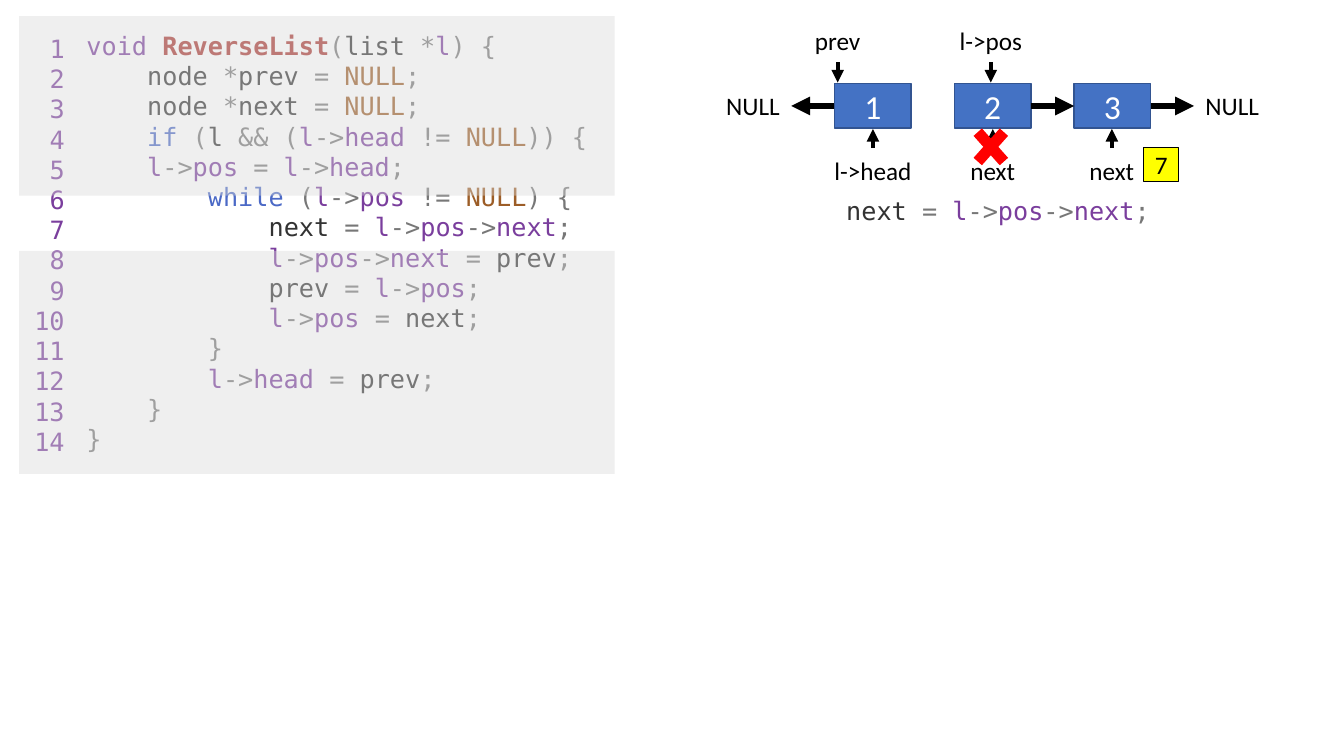
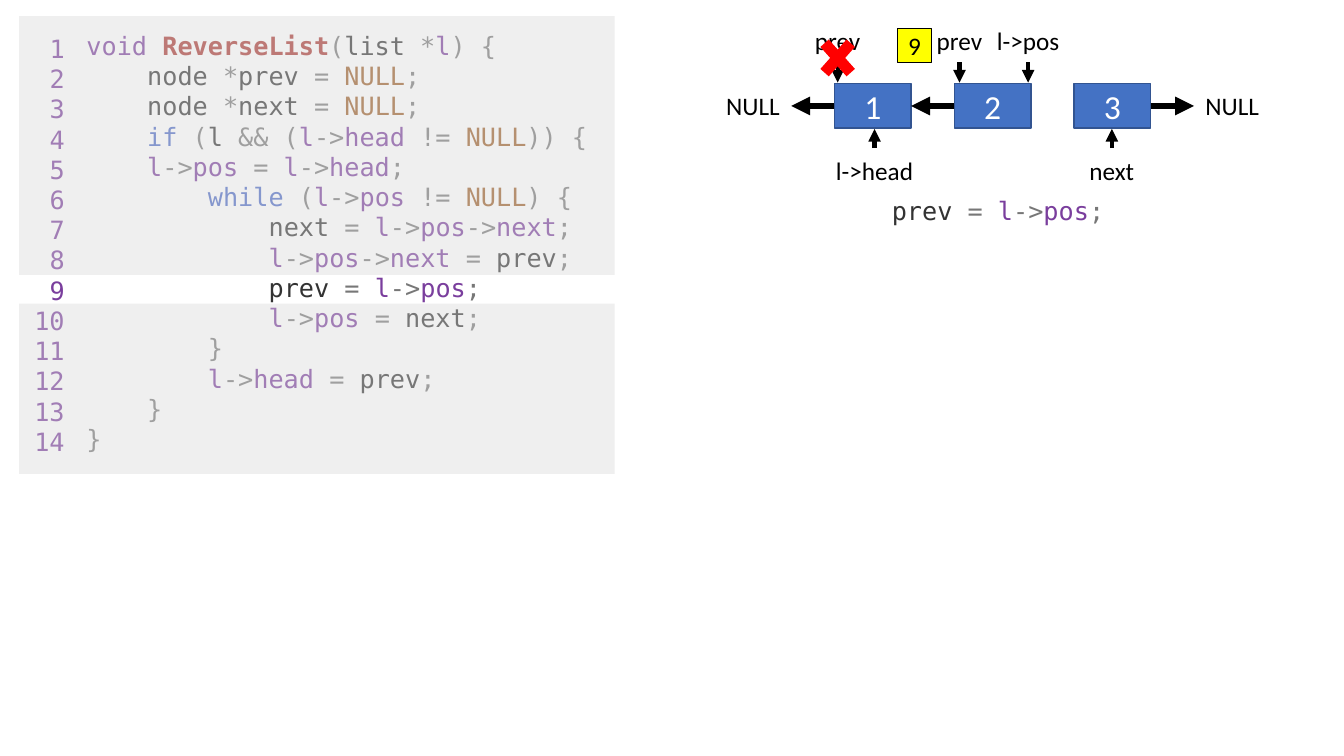
from dataclasses import dataclass

from lxml.etree import SubElement
from pptx import Presentation
from pptx.dml.color import RGBColor
from pptx.enum.shapes import MSO_CONNECTOR, MSO_SHAPE
from pptx.enum.text import MSO_ANCHOR, PP_ALIGN
from pptx.oxml.ns import qn
from pptx.util import Cm, Pt


@dataclass(frozen=True)
class Theme:
    body_font: str = "Calibri"
    code_font: str = "DejaVu Sans Mono"
    text_size: float = 18
    node_size: float = 24
    code_leading: float = 21.6
    black: str = "000000"
    white: str = "FFFFFF"
    node: str = "4472C4"
    node_line: str = "325491"
    badge: str = "FFFF00"
    cross: str = "FF0000"
    shade: str = "D9D9D9"
    shade_alpha: int = 41000
    symbol: str = "777777"
    name: str = "333333"
    member: str = "7A3E9D"
    function: str = "AA3731"
    keyword: str = "4B69C6"
    constant: str = "9C5D27"


theme = Theme()

TOKEN_COLORS = {
    "void ": theme.member,
    "l": theme.member,
    "ReverseList": theme.function,
    "if ": theme.keyword,
    "while ": theme.keyword,
    "NULL": theme.constant,
} | dict.fromkeys(["list ", "node ", "l ", "prev", "prev ", "next", "next "], theme.name)

CODE = [
    (0, "void |ReverseList|(|list |*|l|) {"),
    (1, "node |*|prev |= |NULL|;"),
    (1, "node |*|next |= |NULL|;"),
    (1, "if |(|l |&& (|l|->|head |!= |NULL|)) {"),
    (1, "l|->|pos |= |l|->|head|;"),
    (2, "while |(|l|->|pos |!= |NULL|) {"),
    (3, "next |= |l|->|pos|->|next|;"),
    (3, "l|->|pos|->|next |= |prev|;"),
    (3, "prev |= |l|->|pos|;"),
    (3, "l|->|pos |= |next|;"),
    (2, "}"),
    (2, "l|->|head |= |prev|;"),
    (1, "}"),
    (0, "}"),
]
CODE_INDENT = 1.53

SHADE_LEFT, SHADE_TOP, SHADE_WIDTH, SHADE_BOTTOM = 0.48, 0.41, 15.01, 11.94
CHAIN = ["NULL", "1", "2", "3", "NULL"]
CHAIN_LEFT, CHAIN_TOP, CHAIN_PITCH = 18.01, 2.11, 3.02
NODE_WIDTH, NODE_HEIGHT = 1.93, 1.12
POINTER_ROWS = {"above": (0.46, 1.57, 2.08), "below": (3.73, 3.73, 3.25)}
BADGE_SIZE = 0.87
CROSS_X, CROSS_Y = 0.33, 0.37

STEPS = [
    {
        "line": 7,
        "window": (4.93, 6.32),
        "links": [(1, 0), (2, 3), (3, 4)],
        "pointers": [
            ("l->head", 22, "below"),
            ("prev", 21.11, "above"),
            ("next", 25.02, "below"),
            ("l->pos", 24.97, "above"),
            ("next", 28.02, "below"),
        ],
        "badge": (28.83, 3.71),
        "cross": (24.97, 3.7),
    },
    {
        "line": 9,
        "window": (6.93, 7.65),
        "links": [(1, 0), (2, 1), (3, 4)],
        "pointers": [
            ("l->head", 22.04, "below"),
            ("prev", 21.11, "above"),
            ("prev", 24.18, "above"),
            ("l->pos", 25.91, "above"),
            ("next", 28.02, "below"),
        ],
        "badge": (22.61, 0.71),
        "cross": (21.11, 1.46),
    },
]


def add_box(slide, left, top, width, height, text="", fill=theme.white, line=None,
            line_width=1, size=theme.text_size, color=theme.black):
    box = slide.shapes.add_shape(
        MSO_SHAPE.RECTANGLE, Cm(left), Cm(top), Cm(width), Cm(height))
    box.shadow.inherit = False
    box.fill.solid()
    box.fill.fore_color.rgb = RGBColor.from_string(fill)
    if line:
        box.line.color.rgb = RGBColor.from_string(line)
        box.line.width = Pt(line_width)
    else:
        box.line.fill.background()
    if text:
        frame = box.text_frame
        frame.margin_left = frame.margin_right = frame.margin_top = frame.margin_bottom = 0
        frame.word_wrap = False
        frame.vertical_anchor = MSO_ANCHOR.MIDDLE
        paragraph = frame.paragraphs[0]
        paragraph.text = text
        paragraph.alignment = PP_ALIGN.CENTER
        paragraph.font.name = theme.body_font
        paragraph.font.size = Pt(size)
        paragraph.font.color.rgb = RGBColor.from_string(color)
    return box


def add_stroke(slide, start, end, width, color=theme.black, arrow=True):
    stroke = slide.shapes.add_connector(
        MSO_CONNECTOR.STRAIGHT, *(Cm(value) for value in (*start, *end)))
    stroke.line.width = Pt(width)
    stroke.line.color.rgb = RGBColor.from_string(color)
    properties = stroke._element.spPr
    if arrow:
        SubElement(properties.find(qn("a:ln")), qn("a:tailEnd"), type="triangle")
    SubElement(properties, qn("a:effectLst"))


presentation = Presentation()
presentation.slide_width = Cm(33.87)
presentation.slide_height = Cm(19.05)

for step in STEPS:
    slide = presentation.slides.add_slide(presentation.slide_layouts[6])

    listing = slide.shapes.add_textbox(Cm(1.93), Cm(0.64), Cm(16.94), Cm(11.02))
    numbers = slide.shapes.add_textbox(Cm(0.58), Cm(0.71), Cm(1.3), Cm(11.02))
    numbers.text_frame.margin_left = 0
    statement = slide.shapes.add_textbox(Cm(20.1), Cm(4.8), Cm(10.1), Cm(1.02))
    current_code = CODE[step["line"] - 1][1]
    line_numbers = [(0, str(number)) for number in range(1, len(CODE) + 1)]

    for block, lines, alignment, default_color in (
        (listing, CODE, PP_ALIGN.LEFT, theme.symbol),
        (numbers, line_numbers, PP_ALIGN.RIGHT, theme.member),
        (statement, [(0, current_code)], PP_ALIGN.CENTER, theme.symbol),
    ):
        frame = block.text_frame
        frame.word_wrap = True
        for index, (level, code) in enumerate(lines):
            paragraph = frame.add_paragraph() if index else frame.paragraphs[0]
            paragraph.alignment = alignment
            paragraph.line_spacing = Pt(theme.code_leading)
            paragraph.font.name = theme.code_font
            paragraph.font.size = Pt(theme.text_size)
            paragraph._p.get_or_add_pPr().set("marL", str(Cm(level * CODE_INDENT)))
            previous = ""
            for token in code.split("|"):
                run = paragraph.add_run()
                run.text = token
                color = TOKEN_COLORS.get(token, default_color)
                if previous == "->":
                    color = theme.member
                run.font.color.rgb = RGBColor.from_string(color)
                if token == "ReverseList":
                    run.font.bold = True
                previous = token

    window_top, window_bottom = step["window"]
    for top, bottom in ((SHADE_TOP, window_top), (window_bottom, SHADE_BOTTOM)):
        shade = add_box(slide, SHADE_LEFT, top, SHADE_WIDTH, bottom - top, fill=theme.shade)
        shade_color = shade._element.spPr.find(qn("a:solidFill")).find(qn("a:srgbClr"))
        SubElement(shade_color, qn("a:alpha"), val=str(theme.shade_alpha))

    for position, value in enumerate(CHAIN):
        node_style = {} if value == "NULL" else {
            "fill": theme.node, "line": theme.node_line,
            "size": theme.node_size, "color": theme.white}
        add_box(slide, CHAIN_LEFT + position * CHAIN_PITCH, CHAIN_TOP,
                NODE_WIDTH, NODE_HEIGHT, value, **node_style)

    link_y = CHAIN_TOP + NODE_HEIGHT / 2
    for source, target in step["links"]:
        source_x = CHAIN_LEFT + source * CHAIN_PITCH + NODE_WIDTH * (target > source)
        target_x = CHAIN_LEFT + target * CHAIN_PITCH + NODE_WIDTH * (target < source)
        add_stroke(slide, (source_x, link_y), (target_x, link_y), 4.5)

    for name, x, side in step["pointers"]:
        label_top, arrow_start, arrow_end = POINTER_ROWS[side]
        add_box(slide, x - NODE_WIDTH / 2, label_top, NODE_WIDTH, NODE_HEIGHT, name)
        add_stroke(slide, (x, arrow_start), (x, arrow_end), 3)

    add_box(slide, *step["badge"], BADGE_SIZE, BADGE_SIZE, str(step["line"]),
            fill=theme.badge, line=theme.black, line_width=0.75)

    cross_x, cross_y = step["cross"]
    for rise in (CROSS_Y, -CROSS_Y):
        add_stroke(slide, (cross_x - CROSS_X, cross_y - rise),
                   (cross_x + CROSS_X, cross_y + rise), 8, theme.cross, arrow=False)

presentation.save("out.pptx")
